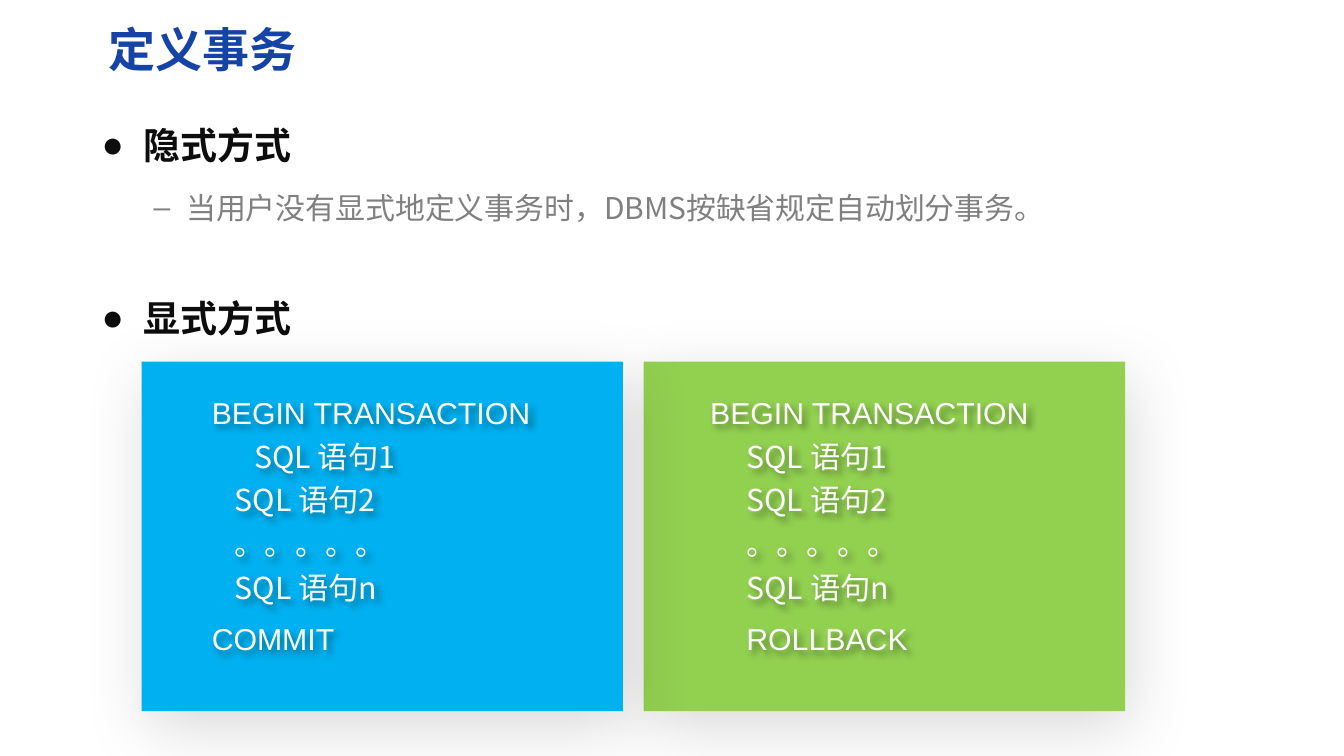
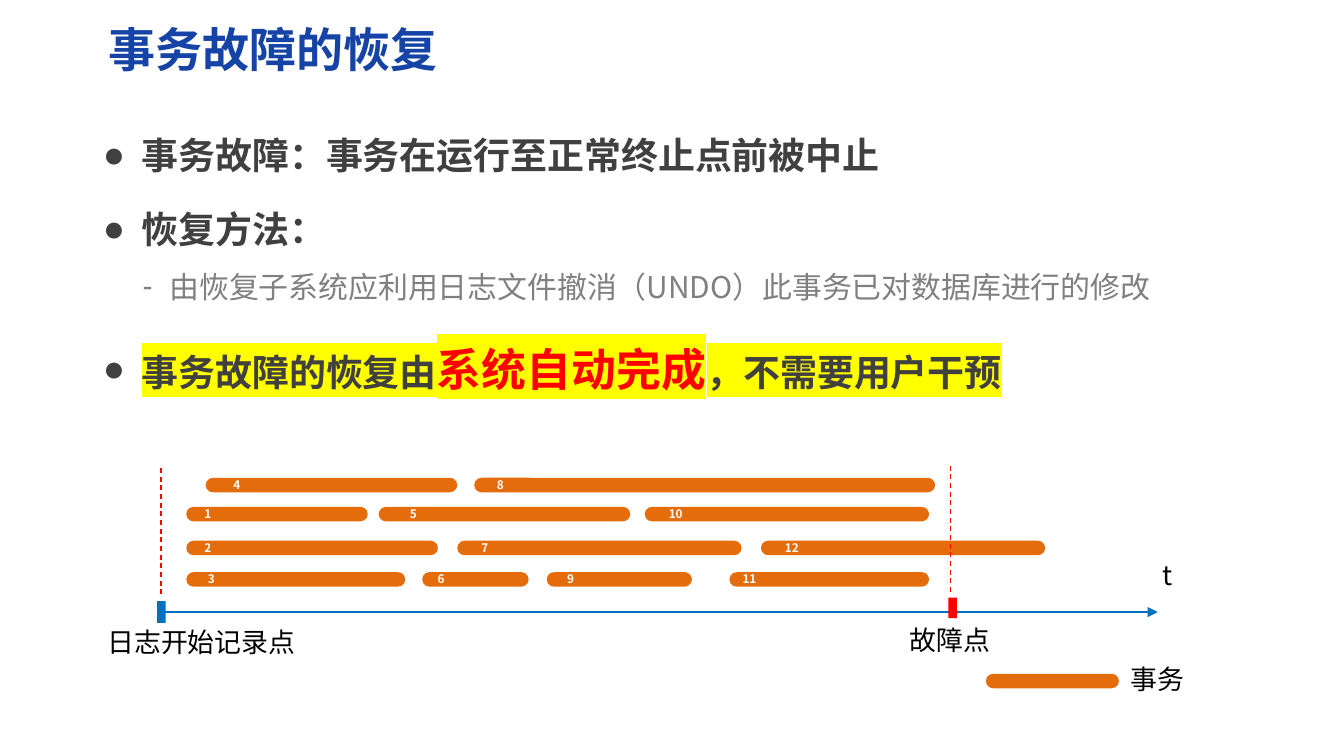
from lxml import etree
from pptx import Presentation
from pptx.dml.color import RGBColor
from pptx.enum.dml import MSO_LINE
from pptx.enum.shapes import MSO_CONNECTOR, MSO_SHAPE
from pptx.enum.text import MSO_ANCHOR, MSO_AUTO_SIZE, PP_ALIGN
from pptx.oxml.ns import qn
from pptx.util import Inches, Pt

RECTANGLE = MSO_SHAPE.RECTANGLE
ROUNDED = MSO_SHAPE.ROUNDED_RECTANGLE
STRAIGHT = MSO_CONNECTOR.STRAIGHT
DASH = MSO_LINE.DASH
LEFT = PP_ALIGN.LEFT
MIDDLE = MSO_ANCHOR.MIDDLE
TOP = MSO_ANCHOR.TOP
NO_AUTOFIT = MSO_AUTO_SIZE.NONE
LEFT_SIDE = 1

CJK = "Noto Sans CJK SC"
LATIN = "Arial"
TITLE_BLUE = "1543A6"
BLACK = "000000"
WHITE = "FFFFFF"
GRAY = "808080"
NEAR_BLACK = "0D0D0D"
DARK_GRAY = "404040"
RED = "FF0000"
YELLOW = "FFFF00"
ORANGE = "E46C0A"
AXIS_BLUE = "0070C0"
HEADING_SIZE = 22
DETAIL_SIZE = 17.8
BAR_HEIGHT = 0.12

BAR_ROWS = [
    (0.1, [("4", 0.4, 2.08, 0.53), ("8", 2.62, 3.81, 2.71)]),
    (0.34, [("1", 0.24, 1.5, 0.29), ("5", 1.83, 2.08, 1.99), ("10", 4.03, 2.35, 4.13)]),
    (0.62, [("2", 0.24, 2.08, 0.29), ("7", 2.48, 2.35, 2.58), ("12", 4.99, 2.35, 5.09)]),
    (0.88, [("3", 0.24, 1.81, 0.32), ("6", 2.19, 0.88, 2.22),
            ("9", 3.22, 1.2, 3.29), ("11", 4.73, 1.65, 4.74)]),
]


def rgb(color):
    return RGBColor.from_string(color)


def set_font(paragraph, size, color, bold=False, name=CJK):
    font = paragraph.font
    font.size = Pt(size)
    font.bold = bold
    font.color.rgb = rgb(color)
    font.name = name
    properties = paragraph._p.pPr.find(qn("a:defRPr"))
    etree.SubElement(properties, qn("a:ea"), typeface=CJK)


def set_indent(paragraph, left, first=0):
    properties = paragraph._p.get_or_add_pPr()
    properties.set("marL", str(Inches(left)))
    properties.set("indent", str(Inches(first)))
    return properties


def set_bullet(paragraph, character, left, hanging):
    properties = set_indent(paragraph, left, -hanging)
    etree.SubElement(properties, qn("a:buFont"), typeface=LATIN)
    etree.SubElement(properties, qn("a:buChar"), char=character)


def set_frame(frame, horizontal=0.1, vertical=0.05, anchor=TOP):
    frame.auto_size = NO_AUTOFIT
    frame.word_wrap = True
    frame.vertical_anchor = anchor
    frame.margin_left = frame.margin_right = Inches(horizontal)
    frame.margin_top = frame.margin_bottom = Inches(vertical)


def place(shape, left, top, width, height):
    shape.left, shape.top = Inches(left), Inches(top)
    shape.width, shape.height = Inches(width), Inches(height)


def next_paragraph(frame, index):
    return frame.add_paragraph() if index else frame.paragraphs[0]


def cast_shadow(shape, alpha, blur, distance, degrees):
    effects = etree.SubElement(shape._element.spPr, qn("a:effectLst"))
    shadow = etree.SubElement(
        effects, qn("a:outerShdw"), blurRad=str(Pt(blur)), dist=str(Pt(distance)),
        dir=str(degrees * 60000), algn="tl", rotWithShape="0")
    color = etree.SubElement(shadow, qn("a:srgbClr"), val=BLACK)
    etree.SubElement(color, qn("a:alpha"), val=str(alpha * 1000))


def add_box(shapes, kind, left, top, width, height, color):
    shape = shapes.add_shape(kind, Inches(left), Inches(top), Inches(width), Inches(height))
    shape.fill.solid()
    shape.fill.fore_color.rgb = rgb(color)
    shape.line.fill.background()
    return shape


def add_flat_box(shapes, kind, left, top, width, height, color):
    shape = add_box(shapes, kind, left, top, width, height, color)
    shape.shadow.inherit = False
    return shape


def add_bar(shapes, left, top, width):
    bar = add_flat_box(shapes, ROUNDED, left, top, width, BAR_HEIGHT, ORANGE)
    bar.adjustments[0] = 0.5


def add_text_box(shapes, left, top, width, height):
    return shapes.add_textbox(Inches(left), Inches(top), Inches(width), Inches(height))


def add_label(shapes, text, left, top, width=1.48, height=0.37, size=16, color=BLACK, bold=False):
    frame = add_text_box(shapes, left, top, width, height).text_frame
    set_frame(frame)
    paragraph = frame.paragraphs[0]
    paragraph.text = text
    set_font(paragraph, size, color, bold)


def add_line(shapes, start, end, color, width):
    line = shapes.add_connector(STRAIGHT, *(Inches(value) for value in start + end))
    line.line.color.rgb = rgb(color)
    line.line.width = Pt(width)
    etree.SubElement(line._element.spPr, qn("a:effectLst"))
    return line


def add_slide(presentation, title):
    slide = presentation.slides.add_slide(presentation.slide_layouts[1])
    shape = slide.shapes.title
    place(shape, 0.79, 0.12, 9.81, 0.57)
    set_frame(shape.text_frame, 0.11, 0.06, MIDDLE)
    paragraph = shape.text_frame.paragraphs[0]
    paragraph.text = title
    paragraph.alignment = LEFT
    set_font(paragraph, 28, TITLE_BLUE, True)
    return slide


def fill_body(slide, height, margins, items, heading, detail):
    body = slide.placeholders[1]
    place(body, 0.75, 0.84, 9.84, height)
    frame = body.text_frame
    set_frame(frame, *margins)
    for index, (level, text, line_height, before) in enumerate(items):
        character, left, hanging, color = detail if level else heading
        paragraph = next_paragraph(frame, index)
        paragraph.text = text
        paragraph.level = level
        paragraph.alignment = LEFT
        set_bullet(paragraph, character, left, hanging)
        paragraph.line_spacing = Pt(line_height)
        paragraph.space_before = Pt(before)
        paragraph.space_after = Pt(0)
        set_font(paragraph, DETAIL_SIZE if level else HEADING_SIZE, color, level == 0)
    return frame


def add_highlighted_runs(paragraph, pieces):
    for text, size, color in pieces:
        run = paragraph.add_run()
        run.text = text
        run.font.size = Pt(size)
        run.font.color.rgb = rgb(color)
        highlight = etree.SubElement(run._r.get_or_add_rPr(), qn("a:highlight"))
        etree.SubElement(highlight, qn("a:srgbClr"), val=YELLOW)


def add_code_panel(slide, left, top, color, text_left, ending, indents):
    panel = add_box(slide.shapes, RECTANGLE, left, top, 3.98, 2.89, color)
    cast_shadow(panel, 15, 40, 10, 70)
    text_box = add_text_box(slide.shapes, left + text_left, top + 0.23, 3.39, 2.56)
    cast_shadow(text_box, 40, 4, 3, 45)
    frame = text_box.text_frame
    set_frame(frame, 0.09, 0.04)
    lines = ["BEGIN TRANSACTION", "SQL 语句1", "SQL 语句2", "。。。。。", "SQL 语句n", ending]
    last = len(lines) - 1
    for index, (text, indent) in enumerate(zip(lines, indents)):
        paragraph = next_paragraph(frame, index)
        paragraph.text = text
        set_indent(paragraph, indent)
        if index:
            paragraph.space_before = Pt(9 if index == last else 4.4)
        set_font(paragraph, 18, WHITE, name=LATIN if index in (0, last) else CJK)


def add_timeline(slide, left, top):
    shapes = slide.shapes.add_group_shape().shapes
    for row_top, bars in BAR_ROWS:
        for _, bar_left, width, _ in bars:
            add_bar(shapes, left + bar_left, top + row_top, width)

    axis_top = top + 1.21
    axis = add_line(shapes, (left, axis_top), (left + 8.27, axis_top), AXIS_BLUE, 1)
    etree.SubElement(axis.line._get_or_add_ln(), qn("a:tailEnd"), type="triangle")
    start_marker = add_flat_box(shapes, RECTANGLE, left, top + 1.12, 0.07, 0.18, AXIS_BLUE)
    axis.begin_connect(start_marker, LEFT_SIDE)
    add_flat_box(shapes, RECTANGLE, left + 6.54, top + 1.09, 0.07, 0.17, RED)

    for x, line_top, line_bottom in [(0.03, 0.02, 1.08), (6.56, 0, 1.05)]:
        limit = add_line(shapes, (left + x, top + line_top), (left + x, top + line_bottom), RED, 0.75)
        limit.line.dash_style = DASH

    add_label(shapes, "日志开始记录点", left - 0.51, top + 1.27, width=1.83)
    add_label(shapes, "故障点", left + 6.12, top + 1.26)
    add_bar(shapes, left + 6.85, top + 1.72, 1.1)
    add_label(shapes, "事务", left + 7.95, top + 1.58)
    for row_top, bars in BAR_ROWS:
        for number, _, _, label_left in bars:
            add_label(shapes, number, left + label_left, top + row_top - 0.05,
                      height=0.22, size=7, color=WHITE, bold=True)
    add_label(slide.shapes, "t", left + 8.21, top + 0.72)


def build_definition_slide(presentation):
    slide = add_slide(presentation, "定义事务")
    items = [
        (0, "隐式方式", 36, 0),
        (1, "当用户没有显式地定义事务时，DBMS按缺省规定自动划分事务。", 26, 8.8),
        (0, "显式方式", 36, 32),
    ]
    fill_body(slide, 1.99, (0.09, 0.04), items,
              ("●", 0.35, 0.35, NEAR_BLACK), ("–", 0.7, 0.27, GRAY))
    add_code_panel(slide, 5.32, 2.99, "92D050", 0.46, "ROLLBACK", [0] + [0.3] * 5)
    add_code_panel(slide, 1.17, 2.99, "00B0F0", 0.3, "COMMIT",
                   [0.19, 0.54, 0.38, 0.38, 0.38, 0.19])


def build_recovery_slide(presentation):
    slide = add_slide(presentation, "事务故障的恢复")
    items = [
        (0, "事务故障：事务在运行至正常终止点前被中止", 41, 0),
        (0, "恢复方法：", 41, 3),
        (1, "由恢复子系统应利用日志文件撤消（UNDO）此事务已对数据库进行的修改", 28.9, 3.2),
        (0, "", 50, 4),
    ]
    frame = fill_body(slide, 2.44, (0.1, 0.05), items,
                      ("●", 0.32, 0.32, DARK_GRAY), ("-", 0.55, 0.22, GRAY))
    add_highlighted_runs(frame.paragraphs[-1], [
        ("事务故障的恢复由", HEADING_SIZE, DARK_GRAY),
        ("系统自动完成", 26.7, RED),
        ("，不需要用户干预", HEADING_SIZE, DARK_GRAY),
    ])
    add_timeline(slide, 1.3, 3.85)


def main():
    presentation = Presentation()
    presentation.slide_width = Inches(11.11)
    presentation.slide_height = Inches(6.25)
    build_definition_slide(presentation)
    build_recovery_slide(presentation)
    presentation.save("out.pptx")


if __name__ == "__main__":
    main()
